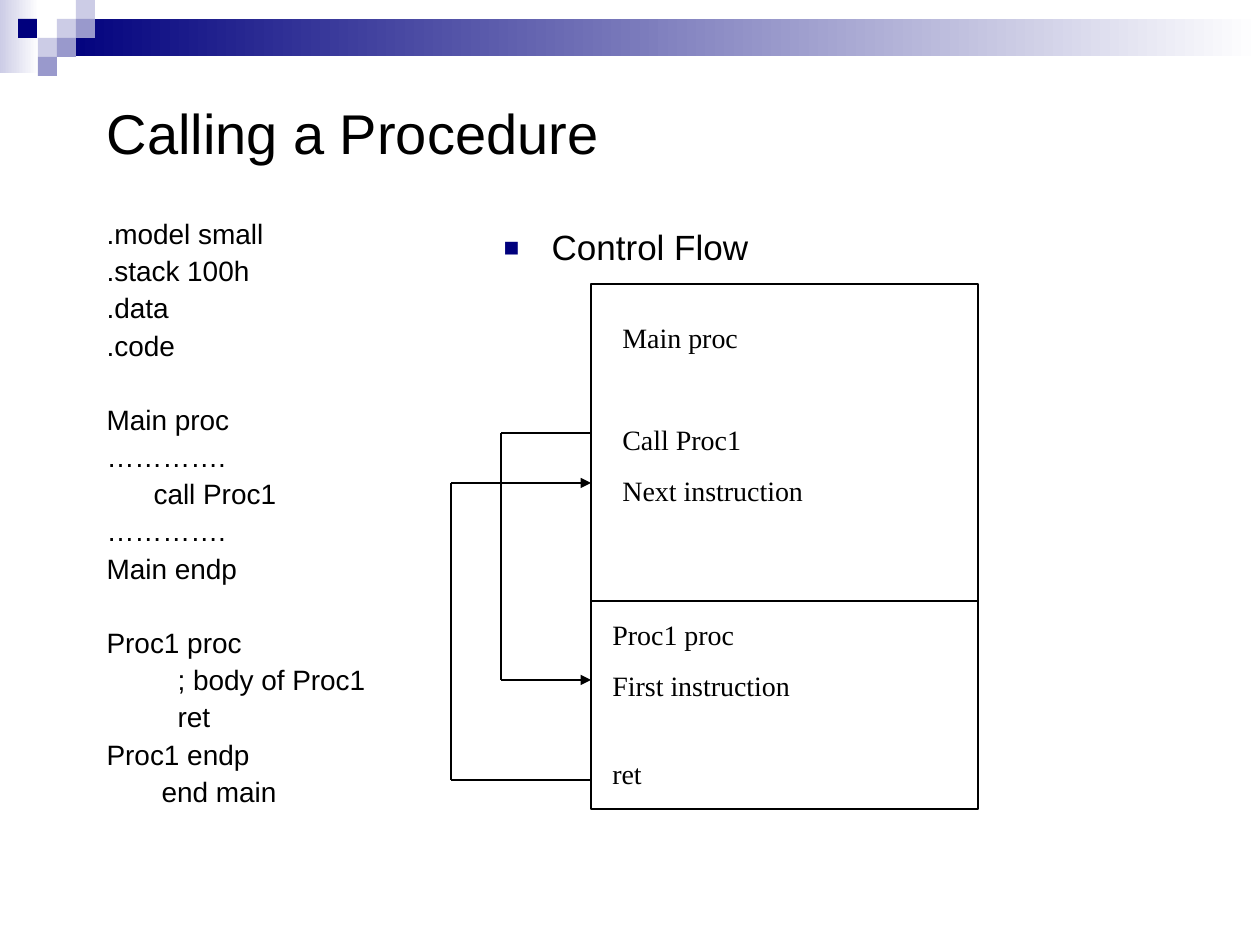
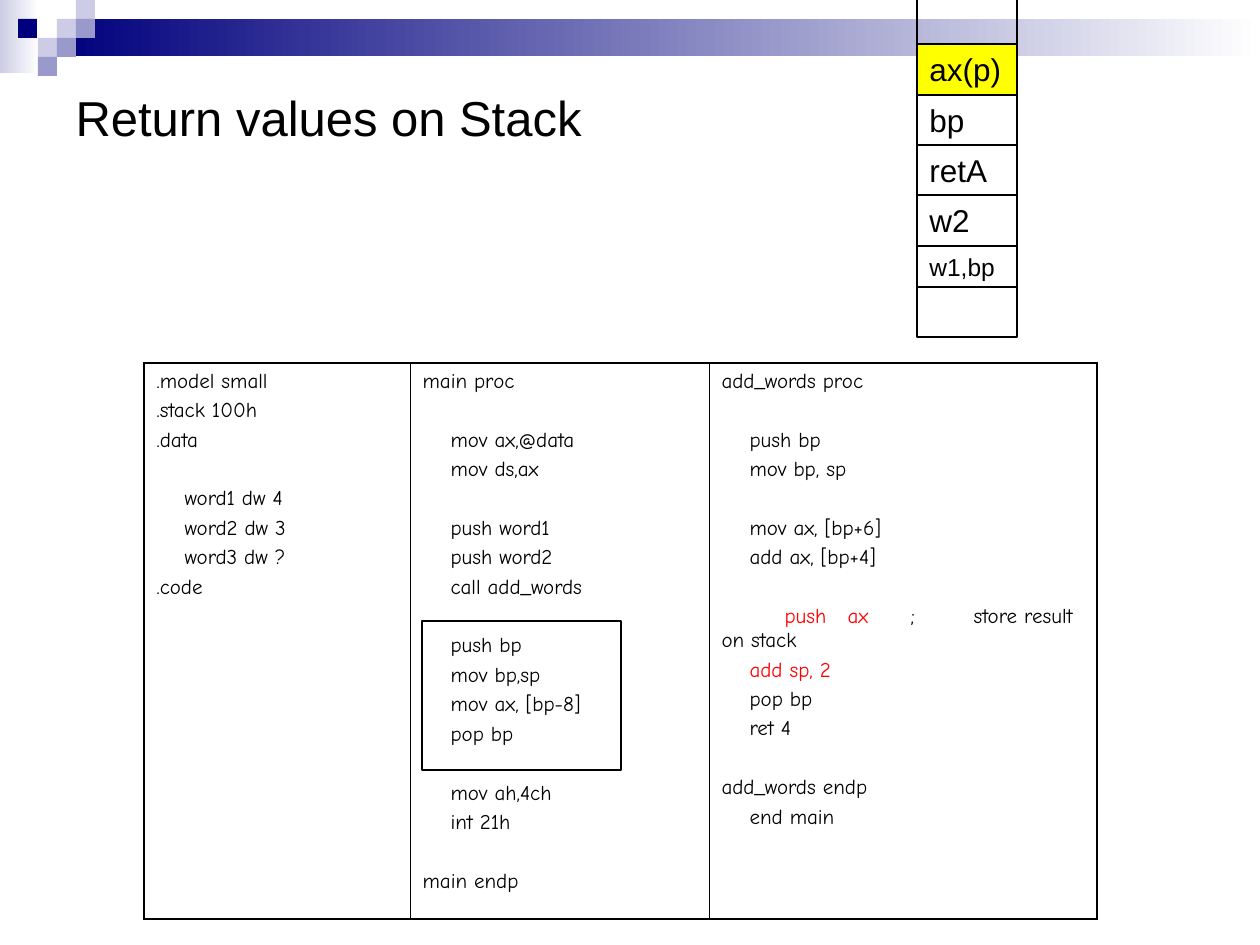
from dataclasses import dataclass
from itertools import pairwise

from lxml.etree import SubElement
from pptx import Presentation
from pptx.dml.color import RGBColor
from pptx.enum.shapes import MSO_CONNECTOR, MSO_SHAPE
from pptx.enum.text import MSO_ANCHOR, MSO_AUTO_SIZE, PP_ALIGN
from pptx.oxml import parse_xml
from pptx.oxml.ns import nsdecls, qn
from pptx.util import Pt

EMU_PER_PX = 914400 / 126
COLORS = {
    "ink": "000000", "navy": "00007D", "lavender": "CCCCE6",
    "periwinkle": "9999CC", "white": "FFFFFF", "red": "FF0000",
    "yellow": "FFFF00",
}


@dataclass
class Line:
    text: str
    indent: int = 0
    color: str = "ink"
    tail: str = ""
    stops: tuple = ()


def code(*texts, indent=28):
    return [Line(text, indent) for text in texts]


BANDS = [
    (0, 0, 39, 73, "lavender", "white"),
    (57, 19, 1203, 37, "navy", "white"),
]
TILE = 19
TILES = [
    (57, 19, "lavender"), (76, 0, "lavender"), (76, 19, "periwinkle"),
    (38, 38, "lavender"), (18, 19, "navy"), (57, 38, "periwinkle"),
    (38, 57, "periwinkle"),
]

LISTING = [
    code(".model small", ".stack 100h", ".data", ".code", indent=0),
    [Line("Main proc"), Line("…………."), Line("call Proc1", 47),
     Line("…………."), Line("Main endp")],
    [Line("Proc1 proc"), Line("; body of Proc1", 71), Line("ret", 71),
     Line("Proc1 endp"), Line("end main", 55)],
]
MEMORY = (591, 284, 387, 525)
PROC1_TOP = 601
MEMORY_LABELS = [
    ((600, 611, 268, 97), [code("Proc1 proc", "First instruction", indent=0)]),
    ((600, 750, 189, 47), [[Line("ret")]]),
    ((610, 314, 348, 200), [[Line("Main proc")],
                            code("Call Proc1", "Next instruction", indent=0)]),
]
JUMPS = [(501, 433, 680), (451, 780, 483)]

PROGRAM_AT = (144, 363)
PROGRAM_HEIGHT = 556
PROGRAM = [
    (266, [
        code(".model small", ".stack 100h", ".data", indent=0),
        code("word1 dw 4", "word2 dw 3", "word3 dw ?") + [Line(".code")],
    ]),
    (299, [
        [Line("main proc")],
        code("mov ax,@data", "mov ds,ax"),
        code("push word1", "push word2", "call add_words"),
        code("push bp", "mov bp,sp", "mov ax, [bp-8]", "pop bp"),
        code("mov ah,4ch", "int 21h"),
        [Line("main endp")],
    ]),
    (388, [
        [Line("add_words proc")],
        code("push bp", "mov bp, sp"),
        code("mov ax, [bp+6]", "add ax, [bp+4]"),
        [Line("\tpush\tax", 0, "red", "\t;\tstore result on stack", (28, 85, 127, 151)),
         Line("add sp, 2", 28, "red"), *code("pop bp", "ret 4")],
        [Line("add_words endp"), Line("end main", 28)],
    ]),
]
READ_RESULT = (422, 621, 199, 149)
STACK_LEFT, STACK_TOP, STACK_WIDTH = 917, -6, 100
STACK = [
    ("", 50, 18, None), ("ax(p)", 51, 18, "yellow"), ("bp", 50, 18, None),
    ("retA", 50, 18, None), ("w2", 51, 18, None), ("w1,bp", 41, 14, None),
    ("", 50, 18, None),
]


def px(length):
    return round(length * EMU_PER_PX)


def rgb(name):
    return RGBColor.from_string(COLORS[name])


def place(shape, left, top, width, height):
    shape.left, shape.top = px(left), px(top)
    shape.width, shape.height = px(width), px(height)


def set_bullet(properties, bullet):
    if not bullet:
        SubElement(properties, qn("a:buNone"))
        return
    color = SubElement(properties, qn("a:buClr"))
    SubElement(color, qn("a:srgbClr"), val=COLORS["navy"])
    SubElement(properties, qn("a:buSzPct"), val="75000")
    SubElement(properties, qn("a:buFont"), typeface="Arial")
    SubElement(properties, qn("a:buChar"), char=bullet)


def write(frame, blocks, size, font="Arial", before=0, gap=0, spacing=None,
          anchor=MSO_ANCHOR.TOP, bullet=None):
    frame.word_wrap = True
    frame.vertical_anchor = anchor
    if hasattr(frame, "auto_size"):
        frame.auto_size = MSO_AUTO_SIZE.NONE
    para = None
    for block in blocks:
        for number, line in enumerate(block):
            opens_block = para is not None and number == 0
            para = frame.paragraphs[0] if para is None else frame.add_paragraph()
            para.alignment = PP_ALIGN.LEFT
            para.space_before = Pt(before + gap if opens_block else before)
            para.line_spacing = spacing
            properties = para._p.get_or_add_pPr()
            properties.set("marL", str(px(line.indent)))
            properties.set("indent", str(-px(line.indent) if bullet else 0))
            set_bullet(properties, bullet)
            if line.stops:
                stops = SubElement(properties, qn("a:tabLst"))
                for stop in line.stops:
                    SubElement(stops, qn("a:tab"), pos=str(px(stop)), algn="l")
            for text, color in ((line.text, line.color), (line.tail, "ink")):
                if text:
                    span = para.add_run()
                    span.text = text
                    span.font.name = font
                    span.font.size = Pt(size)
                    span.font.color.rgb = rgb(color)


def add_box(page, area, fill=None, fade=None, outline=True):
    box = page.shapes.add_shape(MSO_SHAPE.RECTANGLE, *map(px, area))
    box.shadow.inherit = False
    if fade:
        box.fill.gradient()
        box.fill.gradient_angle = 0
        for stop, color in zip(box.fill.gradient_stops, (fill, fade)):
            stop.color.rgb = rgb(color)
    elif fill:
        box.fill.solid()
        box.fill.fore_color.rgb = rgb(fill)
    else:
        box.fill.background()
    if outline:
        box.line.color.rgb = rgb("ink")
        box.line.width = Pt(0.75)
    else:
        box.line.fill.background()
    return box


def add_line(page, start, end, arrow=False):
    line = page.shapes.add_connector(MSO_CONNECTOR.STRAIGHT, *map(px, start + end))
    line.line.color.rgb = rgb("ink")
    line.line.width = Pt(0.75)
    if arrow:
        SubElement(line.line._get_or_add_ln(), qn("a:tailEnd"), type="triangle")
    SubElement(line.element.spPr, qn("a:effectLst"))


def add_title(page, text, area, size):
    title = page.shapes.title
    place(title, *area)
    write(title.text_frame, [[Line(text)]], size, anchor=MSO_ANCHOR.MIDDLE)


def decorate_master(deck, page):
    boxes = [add_box(page, area, fill, fade, outline=False)
             for *area, fill, fade in BANDS]
    boxes += [add_box(page, (left, top, TILE, TILE), fill, outline=False)
              for left, top, fill in TILES]
    for number, box in enumerate(boxes, 101):
        box.element.nvSpPr.cNvPr.set("id", str(number))
        deck.slide_master.shapes.element.append(box.element)


def set_borders(cell, widths):
    properties = cell._tc.get_or_add_tcPr()
    for position, (side, width) in enumerate(widths.items()):
        properties.insert(position, parse_xml(
            f'<a:ln{side} {nsdecls("a")} w="{Pt(width)}"><a:solidFill>'
            f'<a:srgbClr val="{COLORS["ink"]}"/></a:solidFill></a:ln{side}>'))


def build_call_page(page):
    add_title(page, "Calling a Procedure", (94, 72, 1071, 120), 32)
    listing, heading = page.placeholders[1], page.placeholders[2]
    place(listing, 94, 214, 507, 635)
    write(listing.text_frame, LISTING, 16, before=4, gap=21.2, spacing=0.9)
    place(heading, 491, 224, 635, 645)
    write(heading.text_frame, [[Line("Control Flow", 48)]], 20, before=5,
          spacing=0.9, bullet="■")

    add_box(page, MEMORY)
    left, right = MEMORY[0], MEMORY[0] + MEMORY[2]
    add_line(page, (left, PROC1_TOP), (right, PROC1_TOP))
    for area, blocks in MEMORY_LABELS:
        label = page.shapes.add_textbox(*map(px, area))
        write(label.text_frame, blocks, 16, "Times New Roman", before=10, gap=29.1)
    for lane, start, end in JUMPS:
        corners = [(left, start), (lane, start), (lane, end), (left, end)]
        for number, (tail, head) in enumerate(pairwise(corners)):
            add_line(page, tail, head, arrow=number == 2)


def build_stack_page(page):
    add_title(page, "Return values on Stack", (63, 61, 1074, 112), 28)
    width = sum(column_width for column_width, _ in PROGRAM)
    table = page.shapes.add_table(
        1, len(PROGRAM), *map(px, (*PROGRAM_AT, width, PROGRAM_HEIGHT))).table
    table.first_row = table.horz_banding = False
    last = len(PROGRAM) - 1
    for number, (column_width, blocks) in enumerate(PROGRAM):
        table.columns[number].width = px(column_width)
        cell = table.cell(0, number)
        cell.fill.background()
        set_borders(cell, {"L": 0.45 if number else 1.08,
                           "R": 0.45 if number < last else 1.08,
                           "T": 1.08, "B": 1.08})
        write(cell.text_frame, blocks, 12, "Comic Neue", before=3, gap=16.8)
    add_box(page, READ_RESULT)

    top = STACK_TOP
    for text, height, size, fill in STACK:
        box = add_box(page, (STACK_LEFT, top, STACK_WIDTH, height), fill)
        if text:
            write(box.text_frame, [[Line(text)]], size)
        top += height


def main():
    deck = Presentation()
    deck.slide_width, deck.slide_height = px(1260), px(945)
    call_page = deck.slides.add_slide(deck.slide_layouts[3])
    stack_page = deck.slides.add_slide(deck.slide_layouts[5])
    decorate_master(deck, call_page)
    build_call_page(call_page)
    build_stack_page(stack_page)
    deck.save("out.pptx")


if __name__ == "__main__":
    main()
